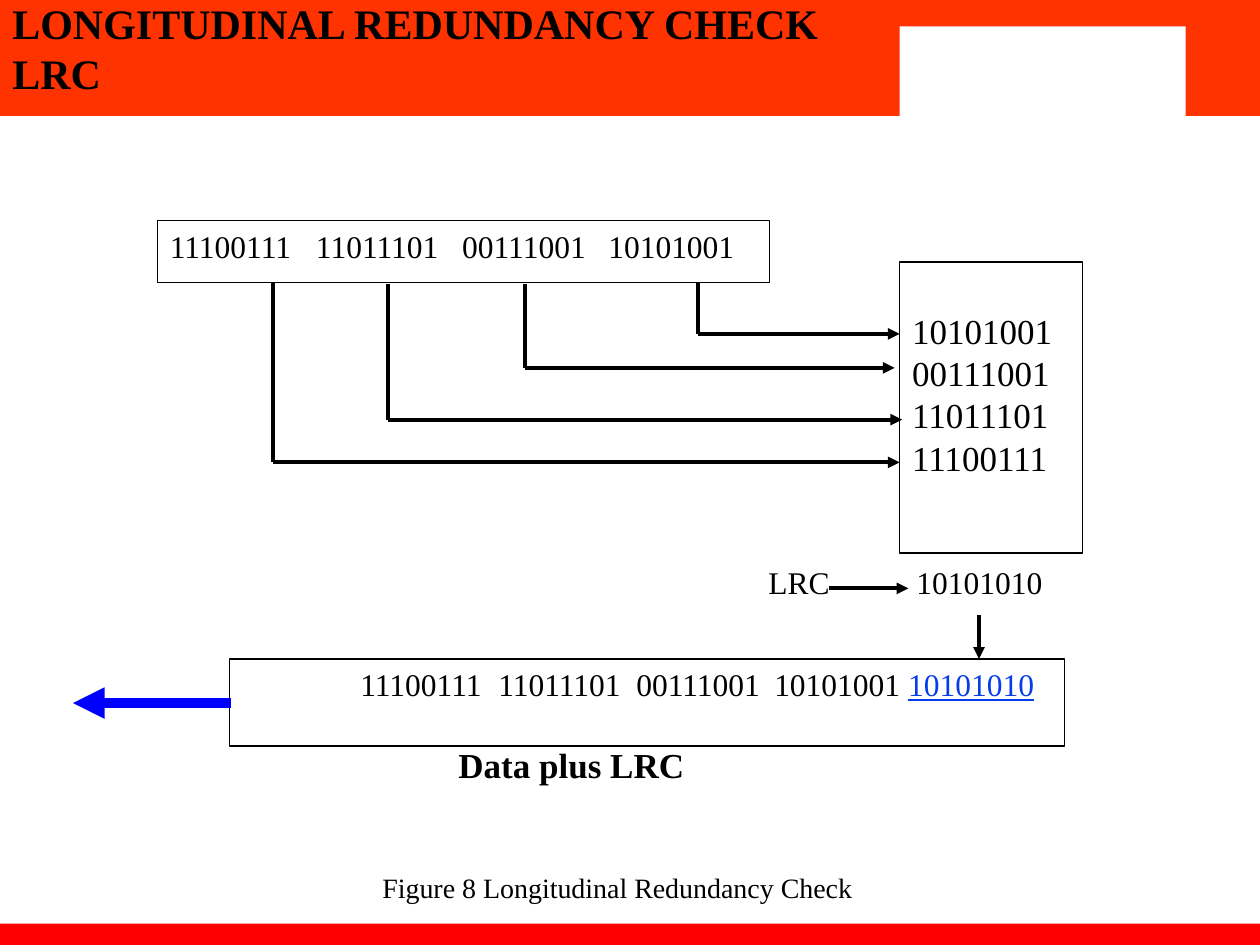
from dataclasses import dataclass

from lxml.etree import SubElement
from pptx import Presentation
from pptx.dml.color import RGBColor
from pptx.enum.shapes import MSO_CONNECTOR, MSO_SHAPE
from pptx.enum.text import MSO_ANCHOR, PP_ALIGN
from pptx.oxml.ns import qn
from pptx.slide import Slide
from pptx.util import Inches, Pt

BLACK = RGBColor(0x00, 0x00, 0x00)
WHITE = RGBColor(0xFF, 0xFF, 0xFF)
ORANGE = RGBColor(0xFF, 0x33, 0x00)
RED = RGBColor(0xFF, 0x00, 0x00)
BLUE = RGBColor(0x00, 0x00, 0xFF)
LINK_BLUE = RGBColor(0x06, 0x3D, 0xE8)

COLUMNS, ROWS = 100, 75
WORDS = ["11100111", "11011101", "00111001", "10101001"]
CHECK = "10101010"


@dataclass
class Diagram:
    """Draws styled elements on one slide, placed by grid columns and rows."""

    slide: Slide
    width: int
    height: int
    font: str = "Times New Roman"

    def across(self, columns):
        return round(self.width * columns / COLUMNS)

    def down(self, rows):
        return round(self.height * rows / ROWS)

    def place(self, left, top, width, height):
        return self.across(left), self.down(top), self.across(width), self.down(height)

    def box(self, area, fill=WHITE, outline=None):
        shape = self.slide.shapes.add_shape(MSO_SHAPE.RECTANGLE, *self.place(*area))
        shape.shadow.inherit = False
        shape.fill.solid()
        shape.fill.fore_color.rgb = fill
        if outline is None:
            shape.line.fill.background()
        else:
            shape.line.color.rgb = outline
            shape.line.width = Pt(0.75)
        return shape

    def label(self, area):
        return self.slide.shapes.add_textbox(*self.place(*area))

    def add_text(self, shape, lines, size, bold=False, align=PP_ALIGN.LEFT,
                 wrap=True, left=1, top=0.5, tab=None):
        frame = shape.text_frame
        frame.word_wrap = wrap
        frame.vertical_anchor = MSO_ANCHOR.TOP
        frame.margin_left, frame.margin_top = self.across(left), self.down(top)
        for index, line in enumerate(lines):
            paragraph = frame.add_paragraph() if index else frame.paragraphs[0]
            paragraph.alignment = align
            if tab:
                self.add_tabs(paragraph, tab, line.count("\t"))
            self.add_run(paragraph, line, size, bold)
        return frame

    def add_tabs(self, paragraph, step, count):
        tabs = SubElement(paragraph._p.get_or_add_pPr(), qn("a:tabLst"))
        for index in range(1, count + 1):
            SubElement(tabs, qn("a:tab"), pos=str(self.across(step * index)), algn="l")

    def add_run(self, paragraph, text, size, bold=False, color=BLACK, underline=None):
        run = paragraph.add_run()
        run.text = text
        run.font.name = self.font
        run.font.size = Pt(size)
        run.font.bold = bold
        run.font.underline = underline
        run.font.color.rgb = color

    def line(self, start, end, arrow=False, color=BLACK, weight=2.25):
        connector = self.slide.shapes.add_connector(
            MSO_CONNECTOR.STRAIGHT,
            self.across(start[0]), self.down(start[1]),
            self.across(end[0]), self.down(end[1]))
        connector.line.color.rgb = color
        connector.line.width = Pt(weight)
        properties = connector._element.spPr
        if arrow:
            SubElement(properties.find(qn("a:ln")), qn("a:tailEnd"), type="triangle")
        SubElement(properties, qn("a:effectLst"))

    def route(self, column, top, row, target):
        self.line((column, top), (column, row))
        self.line((column, row), (target, row), arrow=True)


def main():
    presentation = Presentation()
    presentation.slide_width, presentation.slide_height = Inches(10), Inches(7.5)
    slide = presentation.slides.add_slide(presentation.slide_layouts[6])
    diagram = Diagram(slide, presentation.slide_width, presentation.slide_height)

    diagram.box((0, 0, 100, 9.2), ORANGE)
    diagram.box((0, 73.3, 100, 2.2), RED)
    diagram.box((67.2, 0, 32.8, 9.2), ORANGE)
    diagram.box((71.4, 2.1, 22.7, 7.5))
    diagram.add_text(diagram.label((0, -0.7, 67, 9.1)),
                     ["LONGITUDINAL REDUNDANCY CHECK", "LRC"], 24, bold=True, wrap=False)

    diagram.add_text(diagram.box((60, 44.2, 25.8, 4.9)), [f"LRC\t{CHECK}"], 18, tab=11.75)
    diagram.add_text(diagram.box((35.4, 58.5, 32.6, 4.9)), ["Data plus LRC"], 20, bold=True)
    diagram.add_text(diagram.box((12.5, 17.5, 48.6, 4.9), outline=BLACK),
                     ["\t".join(WORDS)], 18, tab=11.6)
    diagram.add_text(diagram.box((71.4, 20.8, 14.5, 23.1), outline=BLACK),
                     WORDS[::-1], 20, top=3.8)

    for route in [(55.4, 22.4, 26.5, 71.4), (41.7, 22.5, 29.2, 71),
                  (30.8, 22.5, 33.3, 71.6), (21.7, 22.4, 36.7, 71.4)]:
        diagram.route(*route)

    result = diagram.box((18.2, 52.3, 66.3, 6.9), outline=BLACK)
    frame = diagram.add_text(result, ["\t".join(WORDS) + " "], 18, left=10.4, tab=10.95)
    diagram.add_run(frame.paragraphs[0], CHECK, 18, color=LINK_BLUE, underline=True)

    diagram.line((65.8, 46.7), (72.1, 46.7), arrow=True)
    diagram.line((77.7, 48.8), (77.7, 52.3), arrow=True)
    diagram.line((18.3, 55.8), (5.8, 55.8), arrow=True, color=BLUE, weight=6)
    diagram.add_text(diagram.label((28.5, 68.6, 41, 9.1)),
                     ["Figure 8 Longitudinal Redundancy Check"], 16,
                     align=PP_ALIGN.CENTER, wrap=False)
    presentation.save("out.pptx")


if __name__ == "__main__":
    main()
